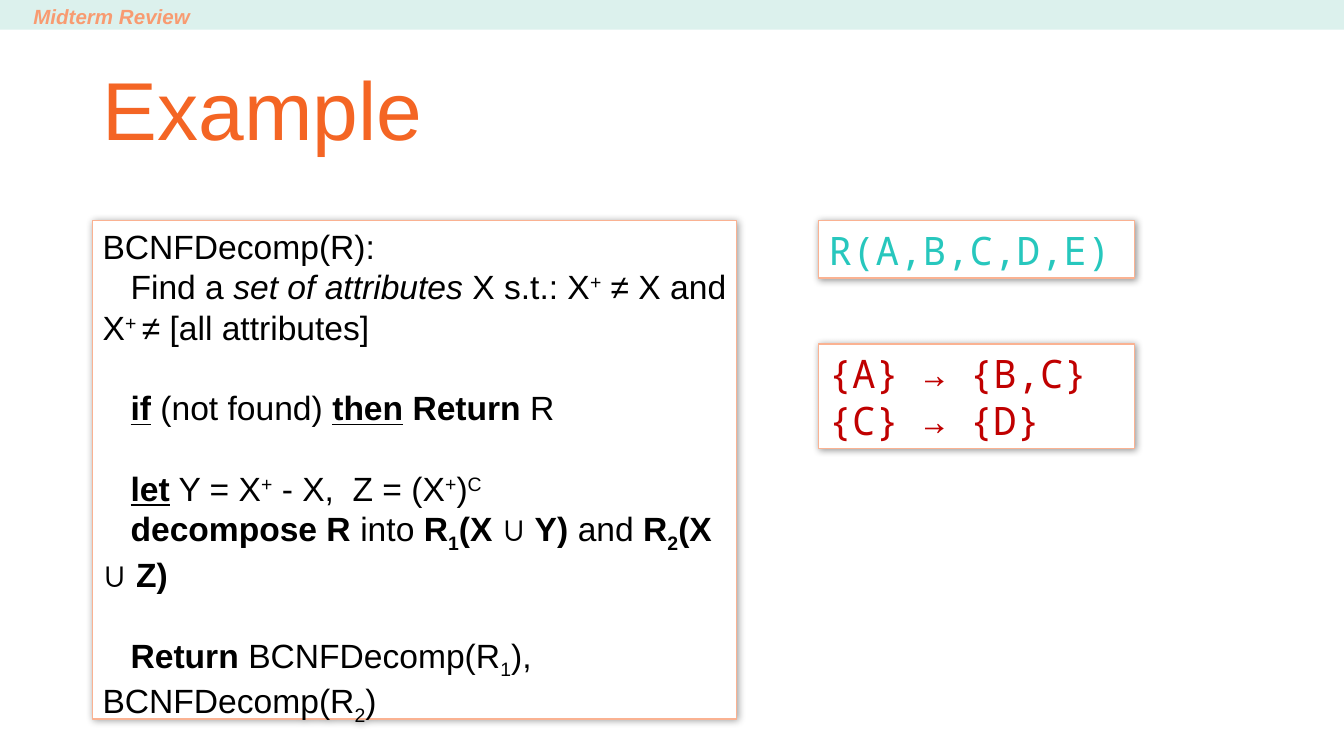
import typing

import lxml.etree
import pptx
import pptx.dml.color
import pptx.enum.shapes
import pptx.enum.text
import pptx.oxml.ns
import pptx.util

Cm, Pt = pptx.util.Cm, pptx.util.Pt
ANCHOR = pptx.enum.text.MSO_ANCHOR
SANS, MONO = "Arial", "Noto Sans Mono"
INSET = (0.19, 0.1)
COLORS = {
    "white": "FFFFFF", "black": "000000", "band": "DCF1ED", "edge": "FAB292",
    "title": "F46524", "header": "F89B71", "schema": "27C7BD", "rule": "C00000",
}
SHIFTS = {"^": "30000", "_": "-25000"}


class Run(typing.NamedTuple):
    """Marks are any of b, i, u, ^ (superscript) and _ (subscript)."""
    text: str
    marks: str = ""


class Para(typing.NamedTuple):
    runs: list[Run]
    indent: float = 0
    gap: float = 0


class Box(typing.NamedTuple):
    left: float
    top: float
    width: float
    height: float


class Panel(typing.NamedTuple):
    box: Box
    paras: list[Para]
    font: str
    size: float
    color: str


def rgb(name: str) -> pptx.dml.color.RGBColor:
    return pptx.dml.color.RGBColor.from_string(COLORS[name])


def plain(text: str, marks: str = "") -> Para:
    return Para([Run(text, marks)])


def write(shape, paras: list[Para], *, font: str, size: float, color: str,
          inset=INSET, anchor=ANCHOR.TOP, wrap=True, spacing=None) -> None:
    frame = shape.text_frame
    frame.word_wrap = wrap
    frame.auto_size = pptx.enum.text.MSO_AUTO_SIZE.NONE
    frame.vertical_anchor = anchor
    frame.margin_left = frame.margin_right = Cm(inset[0])
    frame.margin_top = frame.margin_bottom = Cm(inset[1])
    for index, para in enumerate(paras):
        line = frame.add_paragraph() if index else frame.paragraphs[0]
        line.alignment = pptx.enum.text.PP_ALIGN.LEFT
        if spacing:
            line.line_spacing = spacing
        if para.gap:
            line.space_before = Pt(para.gap)
        if para.indent:
            line._p.get_or_add_pPr().set("indent", str(Cm(para.indent)))
        for part in para.runs:
            run = line.add_run()
            run.text = part.text
            run.font.name, run.font.size = font, Pt(size)
            run.font.color.rgb = rgb(color)
            run.font.bold = "b" in part.marks
            run.font.italic = "i" in part.marks
            run.font.underline = "u" in part.marks
            for mark, shift in SHIFTS.items():
                if mark in part.marks:
                    run._r.get_or_add_rPr().set("baseline", shift)


def cast(shape) -> None:
    """Give the shape a soft shadow to the lower right."""
    qn = pptx.oxml.ns.qn
    effects = shape._element.spPr.find(qn("a:effectLst"))
    shadow = lxml.etree.SubElement(
        effects, qn("a:outerShdw"), blurRad=str(Pt(4)), dist=str(Pt(1)),
        dir="2700000", algn="tl", rotWithShape="0")
    shade = lxml.etree.SubElement(shadow, qn("a:srgbClr"), val=COLORS["black"])
    lxml.etree.SubElement(shade, qn("a:alpha"), val="40000")


def block(slide, box: Box, fill: str, edge: str | None = None):
    shape = slide.shapes.add_shape(
        pptx.enum.shapes.MSO_SHAPE.RECTANGLE, *map(Cm, box))
    shape.shadow.inherit = False
    shape.fill.solid()
    shape.fill.fore_color.rgb = rgb(fill)
    if edge:
        shape.line.color.rgb = rgb(edge)
        shape.line.width = Pt(0.75)
    else:
        shape.line.fill.background()
    return shape


def label(slide, box: Box, para: Para, **style) -> None:
    write(slide.shapes.add_textbox(*map(Cm, box)), [para], **style)


STEP = 0.53
BLANK = 21.6
CODE = [
    plain("BCNFDecomp(R):"),
    Para([Run("Find a "), Run("set of attributes ", "i"), Run("X s.t.: X"),
          Run("+", "^"), Run(" ≠ X and X"), Run("+ ", "^"),
          Run("≠ [all attributes]")], STEP),
    Para([Run("if", "bu"), Run(" (not found) "), Run("then", "bu"), Run(" "),
          Run("Return", "b"), Run(" R")], STEP, BLANK),
    Para([Run("let", "bu"), Run(" Y = X"), Run("+", "^"),
          Run(" - X,  Z = (X"), Run("+", "^"), Run(")"), Run("C", "^")],
         STEP, BLANK),
    Para([Run("decompose R", "b"), Run(" into "), Run("R", "b"),
          Run("1", "b_"), Run("(X ∪ Y) ", "b"), Run("and "), Run("R", "b"),
          Run("2", "b_"), Run("(X ∪ Z)", "b")], STEP),
    Para([Run("Return ", "b"), Run("BCNFDecomp(R"), Run("1", "_"),
          Run("), BCNFDecomp(R"), Run("2", "_"), Run(")")], STEP, BLANK),
]
LEFT, RIGHT, TOP = 1.75, 15.47, 4.17
PANELS = [
    Panel(Box(RIGHT, TOP, 5.97, 1.09), [plain("R(A,B,C,D,E)")],
          MONO, 21, "schema"),
    Panel(Box(LEFT, TOP, 12.17, 9.42), CODE, SANS, 18, "black"),
    Panel(Box(RIGHT, 6.5, 5.97, 1.98),
          [plain("{A} → {B,C}"), plain("{C} → {D}")], MONO, 21, "rule"),
]


def main() -> None:
    deck = pptx.Presentation()
    deck.slide_width, deck.slide_height = Cm(25.4), Cm(14.29)
    slide = deck.slides.add_slide(deck.slide_layouts[6])

    block(slide, Box(0, 0, 25.4, 0.56), "band")
    label(slide, Box(0.38, -0.05, 3.61, 0.74), plain("Midterm Review", "bi"),
          font=SANS, size=11, color="header", inset=(0.25, 0.13), wrap=False)
    label(slide, Box(LEFT, 0.76, 21.89, 2.77), plain("Example"), font=SANS,
          size=44, color="title", anchor=ANCHOR.MIDDLE, spacing=0.9)

    for panel in PANELS:
        shape = block(slide, panel.box, "white", "edge")
        cast(shape)
        write(shape, panel.paras, font=panel.font, size=panel.size,
              color=panel.color)
    deck.save("out.pptx")


if __name__ == "__main__":
    main()
